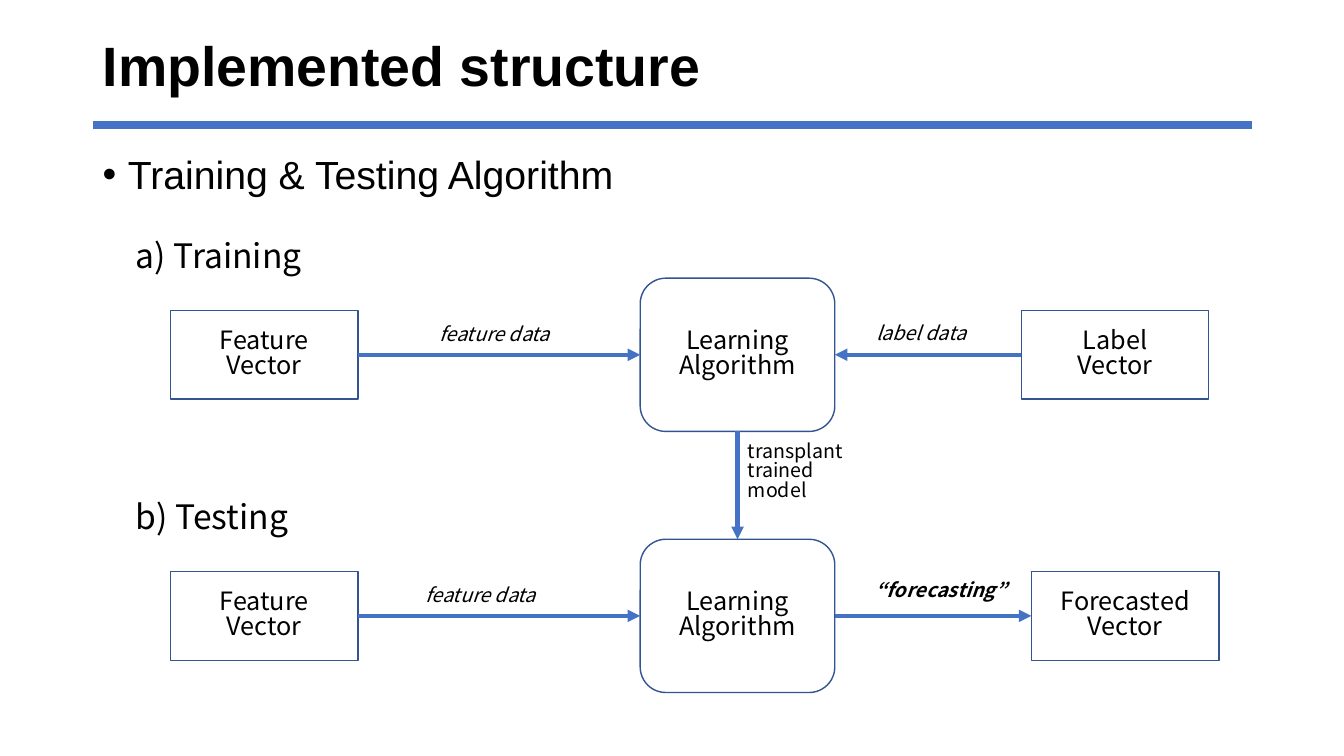
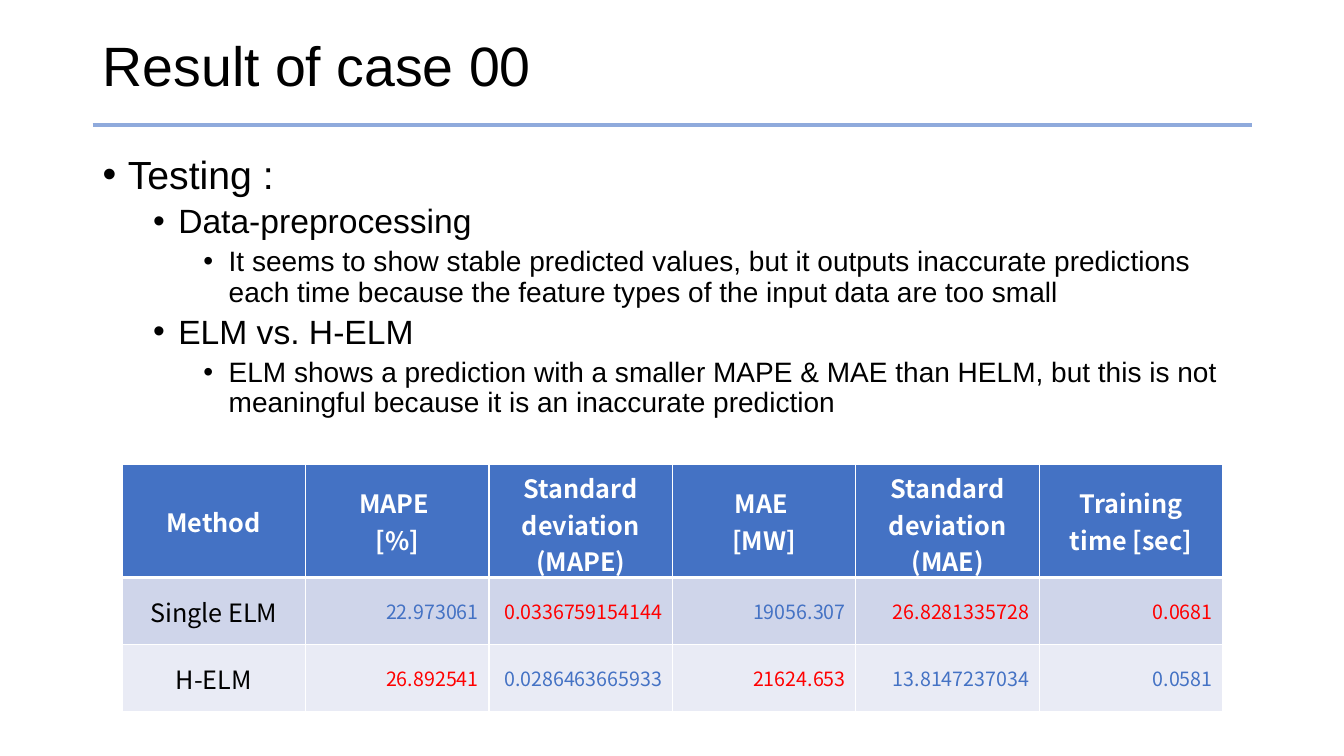
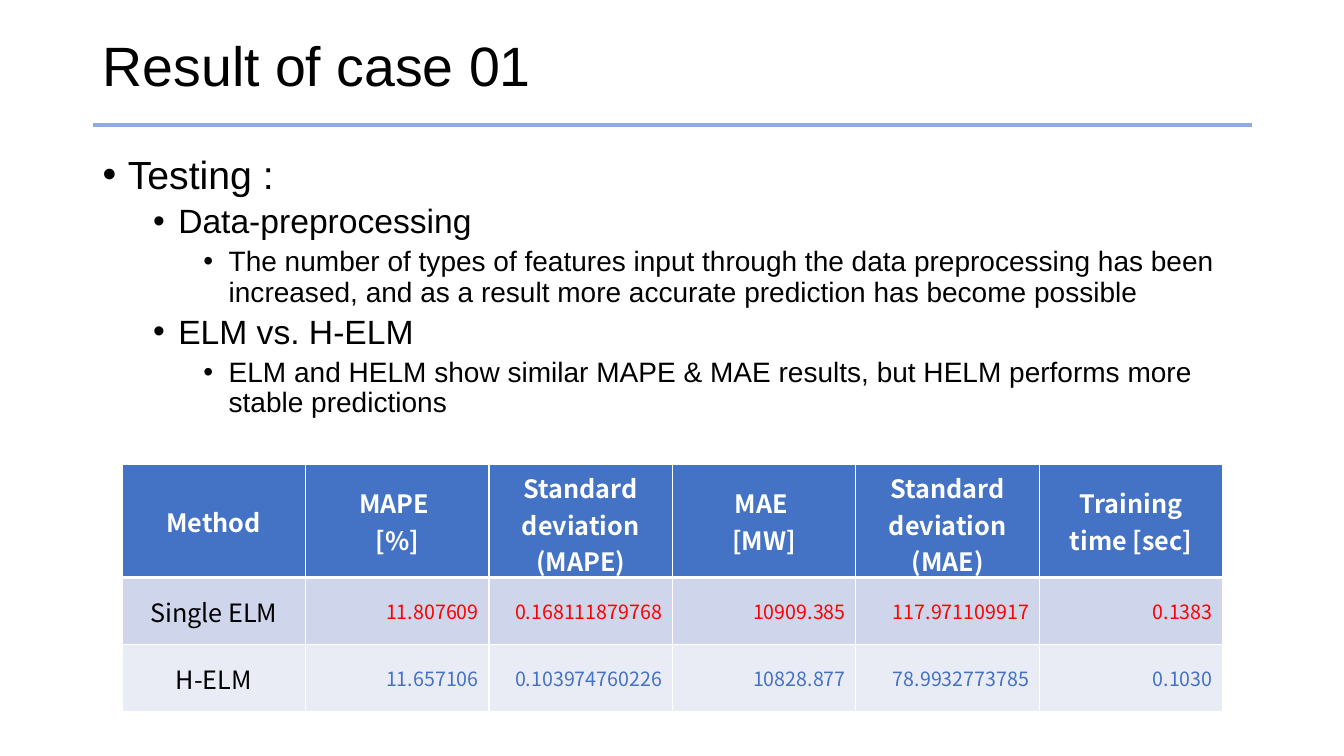
from dataclasses import dataclass

from pptx import Presentation, util as u
from pptx.dml.color import RGBColor
from pptx.enum import shapes, text
from pptx.oxml.ns import qn
from lxml import etree


@dataclass(frozen=True)
class Theme:
    sans: str = "Arial"
    diagram: str = "Noto Sans CJK KR"
    ink: str = "000000"
    white: str = "FFFFFF"
    accent: str = "4472C4"
    soft_accent: str = "8FAADC"
    outline: str = "325491"
    higher: str = "FF0000"
    bands: tuple = ("CFD5EA", "E9EBF5")
    title: float = 39.6
    levels: tuple = (28, 24, 20)
    heading: int = 24
    node: int = 18
    label: int = 14
    body_spacing: float = 0.9
    diagram_spacing: float = 0.83


THEME = Theme()
TITLE_BOX = (0.92, 0.3, 11.5, 0.75)
BODY_BOX = (0.92, 1.49, 11.5, 5.78)
TABLE_BOX = (1.21, 4.61, 10.92, 2.45)
RULE_Y = 1.24
HEADER_HEIGHT = 1.12
CENTER = text.PP_ALIGN.CENTER
RIGHT = text.PP_ALIGN.RIGHT

HEADERS = [
    ["Method"],
    ["MAPE ", "[%]"],
    ["Standard deviation", "(MAPE)"],
    ["MAE ", "[MW]"],
    ["Standard deviation", "(MAE)"],
    ["Training time [sec]"],
]
METHODS = ["Single ELM", "H-ELM"]
CASES = [
    (
        "Result of case 00",
        "It seems to show stable predicted values, but it outputs inaccurate "
        "predictions each time because the feature types of the input data are too small",
        "ELM shows a prediction with a smaller MAPE & MAE than HELM, but this is not "
        "meaningful because it is an inaccurate prediction",
        [
            ["22.973061", "0.0336759154144", "19056.307", "26.8281335728", "0.0681"],
            ["26.892541", "0.0286463665933", "21624.653", "13.8147237034", "0.0581"],
        ],
    ),
    (
        "Result of case 01",
        "The number of types of features input through the data preprocessing has been "
        "increased, and as a result more accurate prediction has become possible",
        "ELM and HELM show similar MAPE & MAE results, but HELM performs more "
        "stable predictions",
        [
            ["11.807609", "0.168111879768", "10909.385", "117.971109917", "0.1383"],
            ["11.657106", "0.103974760226", "10828.877", "78.9932773785", "0.1030"],
        ],
    ),
]


def inches(*lengths):
    return [u.Inches(length) for length in lengths]


def rgb(color):
    return RGBColor.from_string(color)


def write(paragraph, words, size, font=THEME.diagram, color=THEME.ink,
          bold=False, italic=False, align=None, spacing=None):
    paragraph.alignment = align
    paragraph.line_spacing = spacing
    for index, line in enumerate(words.split("\n")):
        if index:
            paragraph.add_line_break()
        run = paragraph.add_run()
        run.text = line
        run.font.name = font
        run.font.size = u.Pt(size)
        run.font.color.rgb = rgb(color)
        run.font.bold = bold
        run.font.italic = italic


def write_lines(frame, lines, size, **style):
    for index, line in enumerate(lines):
        paragraph = frame.add_paragraph() if index else frame.paragraphs[0]
        write(paragraph, line, size, **style)


def add_text_frame(slide, box):
    frame = slide.shapes.add_textbox(*inches(*box)).text_frame
    frame.word_wrap = True
    return frame


def add_line(slide, start, end, color, width):
    line = slide.shapes.add_connector(
        shapes.MSO_CONNECTOR.STRAIGHT, *inches(*start, *end))
    line.line.color.rgb = rgb(color)
    line.line.width = u.Pt(width)
    etree.SubElement(line._element.spPr, qn("a:effectLst"))
    return line


def add_arrow(slide, source, source_side, target, target_side):
    arrow = add_line(slide, (0, 0), (1, 1), THEME.accent, 3)
    arrow.begin_connect(source, source_side)
    arrow.end_connect(target, target_side)
    etree.SubElement(arrow.line._get_or_add_ln(), qn("a:tailEnd"), type="triangle")


def add_title(slide, title, bold=False, rule=(THEME.soft_accent, 3.16)):
    frame = add_text_frame(slide, TITLE_BOX)
    frame.vertical_anchor = text.MSO_ANCHOR.MIDDLE
    write(frame.paragraphs[0], title, THEME.title, font=THEME.sans,
          bold=bold, spacing=THEME.body_spacing)
    left, _, width, _ = TITLE_BOX
    add_line(slide, (left, RULE_Y), (left + width, RULE_Y), *rule)


def add_bullets(slide, box, items):
    frame = add_text_frame(slide, box)
    for index, (level, words) in enumerate(items):
        paragraph = frame.add_paragraph() if index else frame.paragraphs[0]
        write(paragraph, words, THEME.levels[level], font=THEME.sans,
              spacing=THEME.body_spacing)
        paragraph.level = level
        paragraph.space_before = u.Pt(5 if level else 10)
        properties = paragraph._p.get_or_add_pPr()
        properties.set("marL", str(u.Inches(0.25 + 0.5 * level)))
        properties.set("indent", str(u.Inches(-0.25)))
        etree.SubElement(properties, qn("a:buFont"), typeface=THEME.sans)
        etree.SubElement(properties, qn("a:buChar"), char="•")


def add_node(slide, box, words, kind=shapes.MSO_SHAPE.RECTANGLE):
    node = slide.shapes.add_shape(kind, *inches(*box))
    node.shadow.inherit = False
    node.fill.background()
    node.line.color.rgb = rgb(THEME.outline)
    node.line.width = u.Pt(1)
    frame = node.text_frame
    frame.word_wrap = True
    frame.vertical_anchor = text.MSO_ANCHOR.MIDDLE
    write(frame.paragraphs[0], words, THEME.node, align=CENTER,
          spacing=THEME.diagram_spacing)
    return node


def add_label(slide, box, *lines, size=THEME.label, **style):
    write_lines(add_text_frame(slide, box), lines, size,
                spacing=THEME.diagram_spacing, **style)


def add_stage(slide, left, top, heading, right_words, right_offset):
    add_label(slide, (left, top, 1.98, 0.5), heading, size=THEME.heading)
    feature = add_node(slide, (left + 0.44, top + 0.73, 1.86, 0.88), "Feature\nVector")
    learner = add_node(slide, (left + 5.1, top + 0.41, 1.93, 1.52),
                       "Learning Algorithm", shapes.MSO_SHAPE.ROUNDED_RECTANGLE)
    vector = add_node(slide, (left + right_offset, top + 0.73, 1.86, 0.88), right_words)
    add_arrow(slide, feature, 3, learner, 1)
    return learner, vector


def build_structure(slide):
    add_title(slide, "Implemented structure", bold=True, rule=(THEME.accent, 6.13))
    add_bullets(slide, BODY_BOX, [(0, "Training & Testing Algorithm")])
    trained, label_vector = add_stage(
        slide, 1.25, 2.35, "a) Training", "Label\nVector", 8.88)
    tested, forecast = add_stage(
        slide, 1.25, 4.94, "b) Testing", "Forecasted Vector", 8.98)
    add_arrow(slide, label_vector, 1, trained, 3)
    add_arrow(slide, tested, 3, forecast, 1)
    add_arrow(slide, trained, 2, tested, 0)
    add_label(slide, (7.32, 4.34, 1.66, 0.81), "transplant trained", "model")
    add_label(slide, (4.26, 3.18, 1.66, 0.34), "feature data", italic=True)
    add_label(slide, (8.59, 3.17, 1.21, 0.34), "label data", italic=True)
    add_label(slide, (4.12, 5.77, 1.66, 0.34), "feature data", italic=True)
    add_label(slide, (8.59, 5.72, 1.66, 0.34), "“forecasting”", bold=True, italic=True)


def style_cell(cell, fill, bottom=1, top=1):
    cell.vertical_anchor = text.MSO_ANCHOR.MIDDLE
    properties = cell._tc.get_or_add_tcPr()
    for side, width in (("L", 1), ("R", 1), ("T", top), ("B", bottom)):
        border = etree.SubElement(properties, qn(f"a:ln{side}"), w=str(u.Pt(width)))
        paint = etree.SubElement(border, qn("a:solidFill"))
        etree.SubElement(paint, qn("a:srgbClr"), val=THEME.white)
    cell.fill.solid()
    cell.fill.fore_color.rgb = rgb(fill)


def add_results(slide, box, results):
    left, top, width, height = box
    table = slide.shapes.add_table(
        len(METHODS) + 1, len(HEADERS), *inches(left, top, width, height)).table
    for column in table.columns:
        column.width = u.Inches(width / len(HEADERS))
    for index, row in enumerate(table.rows):
        row.height = u.Inches(
            (height - HEADER_HEIGHT) / len(METHODS) if index else HEADER_HEIGHT)

    for column, lines in enumerate(HEADERS):
        cell = table.cell(0, column)
        style_cell(cell, THEME.accent, bottom=3)
        write_lines(cell.text_frame, lines, THEME.node, color=THEME.white,
                    bold=True, align=CENTER)

    highest = [max(map(float, values)) for values in zip(*results)]
    for row, (method, values) in enumerate(zip(METHODS, results), 1):
        for column, words in enumerate([method, *values]):
            cell = table.cell(row, column)
            style_cell(cell, THEME.bands[row - 1], top=3 if row == 1 else 1)
            paragraph = cell.text_frame.paragraphs[0]
            if column == 0:
                write(paragraph, words, THEME.node, align=CENTER)
            else:
                is_highest = float(words) == highest[column - 1]
                write(paragraph, words, THEME.label, align=RIGHT,
                      color=THEME.higher if is_highest else THEME.accent)


def build_case(slide, title, preprocessing, comparison, results):
    add_title(slide, title)
    add_bullets(slide, BODY_BOX, [
        (0, "Testing :"),
        (1, "Data-preprocessing"),
        (2, preprocessing),
        (1, "ELM vs. H-ELM"),
        (2, comparison),
    ])
    add_results(slide, TABLE_BOX, results)


def main():
    deck = Presentation()
    deck.slide_width, deck.slide_height = inches(13.33, 7.5)
    blank = deck.slide_layouts[6]
    build_structure(deck.slides.add_slide(blank))
    for case in CASES:
        build_case(deck.slides.add_slide(blank), *case)
    deck.save("out.pptx")


if __name__ == "__main__":
    main()
